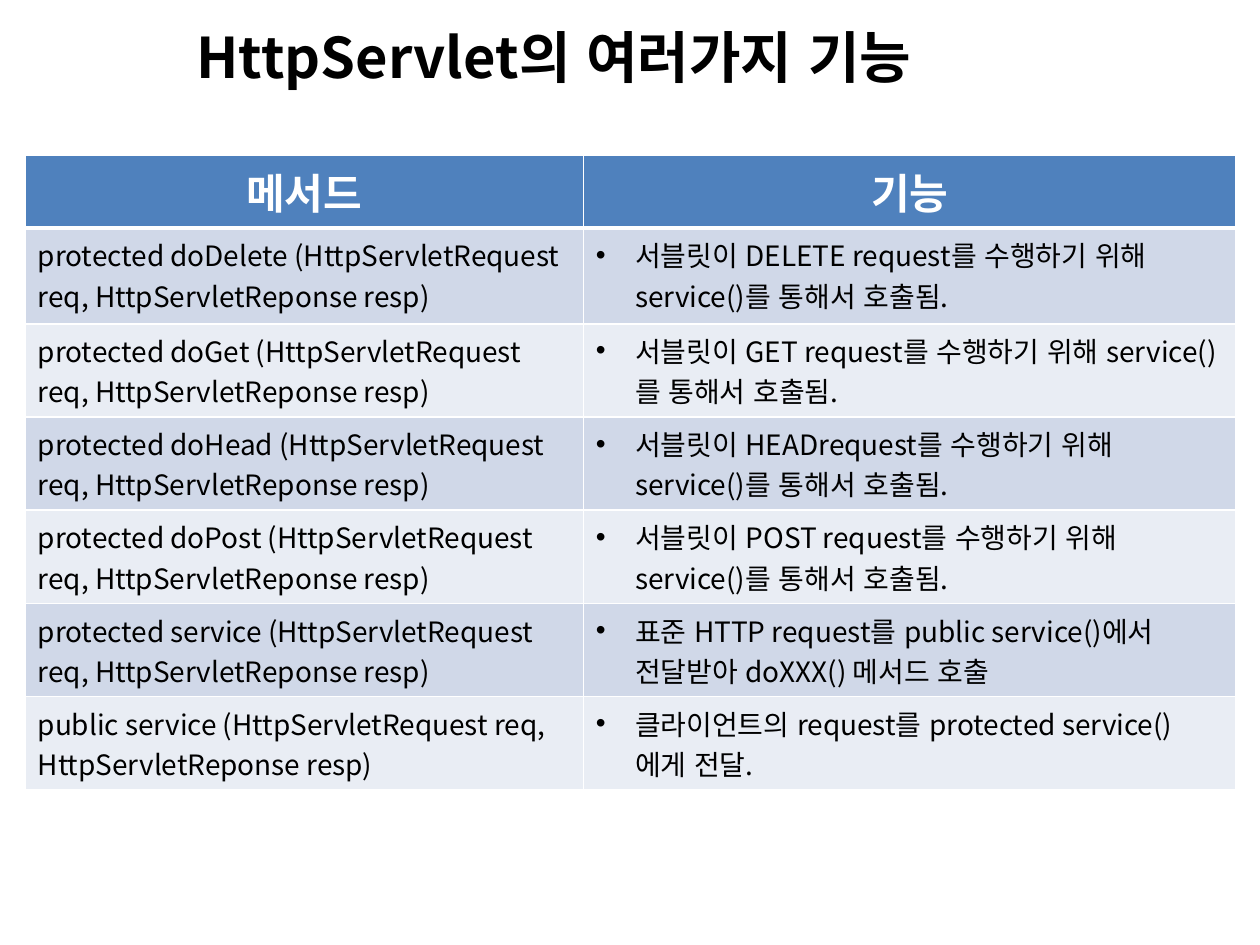
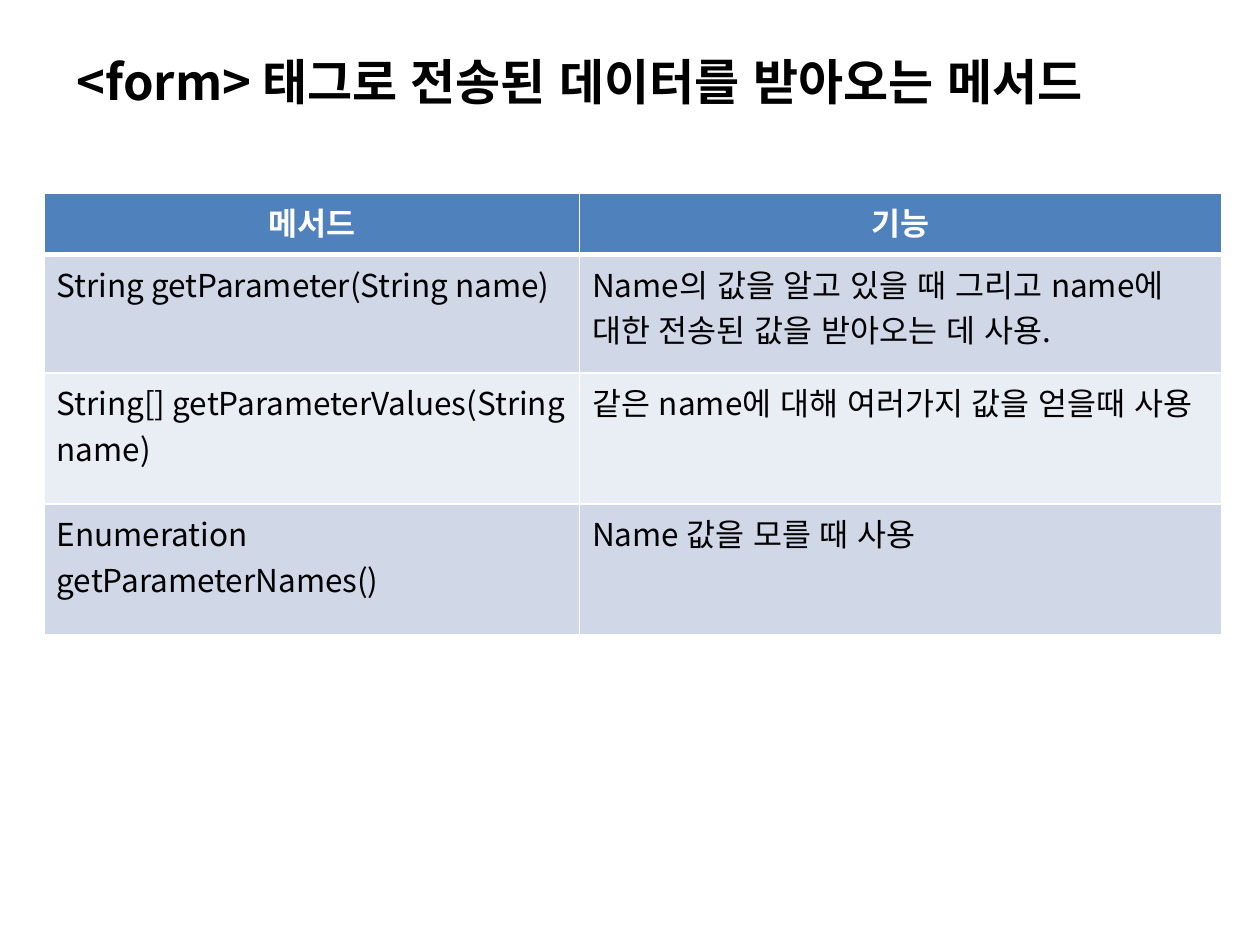
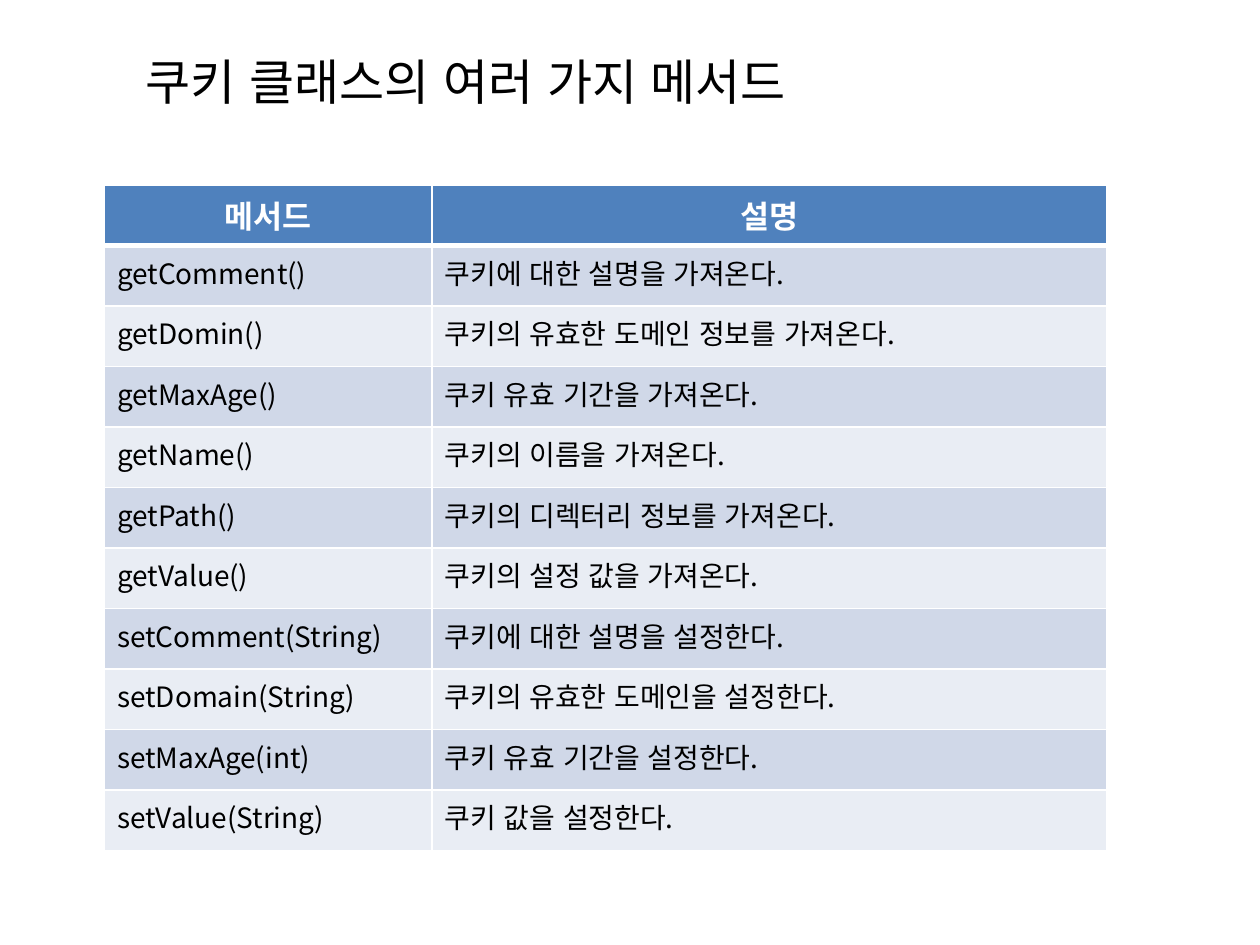
from dataclasses import dataclass

from lxml import etree
from pptx import Presentation
from pptx.dml.color import RGBColor
from pptx.enum.lang import MSO_LANGUAGE_ID
from pptx.enum.text import MSO_AUTO_SIZE, PP_ALIGN
from pptx.oxml.ns import qn
from pptx.util import Inches, Pt

BLACK = RGBColor(0x00, 0x00, 0x00)
WHITE = RGBColor(0xFF, 0xFF, 0xFF)
HEADER_BLUE = RGBColor(0x4F, 0x81, 0xBD)
BANDS = (RGBColor(0xD0, 0xD8, 0xE8), RGBColor(0xE9, 0xED, 0xF4))
FONT = "Noto Sans CJK KR"
LEFT, CENTER = PP_ALIGN.LEFT, PP_ALIGN.CENTER
FIT_SHAPE = MSO_AUTO_SIZE.SHAPE_TO_FIT_TEXT
KOREAN = MSO_LANGUAGE_ID.KOREAN
BULLET_INDENT = Inches(0.31)


@dataclass(frozen=True)
class Title:
    text: str
    left: float
    top: float
    width: float
    height: float
    size: int = 28
    bold: bool = True


@dataclass(frozen=True)
class MethodTable:
    left: float
    top: float
    columns: tuple[float, float]
    row_heights: list[float]
    rows: list[tuple[str, str]]
    header_size: int = 18
    body_size: int = 16
    bulleted: bool = False


def servlet_method(access: str, name: str) -> str:
    return f"{access} {name} (HttpServletRequest req, HttpServletReponse resp)"


def request_handler(method: str, request: str) -> tuple[str, str]:
    return (servlet_method("protected", method),
            f"서블릿이 {request}를 수행하기 위해 service()를 통해서 호출됨.")


SERVLET_ROWS = [
    ("메서드", "기능"),
    request_handler("doDelete", "DELETE request"),
    request_handler("doGet", "GET request"),
    request_handler("doHead", "HEADrequest"),
    request_handler("doPost", "POST request"),
    (servlet_method("protected", "service"),
     "표준 HTTP request를 public service()에서 전달받아 doXXX() 메서드 호출"),
    (servlet_method("public", "service"),
     "클라이언트의 request를 protected service()에게 전달."),
]
FORM_ROWS = [
    ("메서드", "기능"),
    ("String getParameter(String name)",
     "Name의 값을 알고 있을 때 그리고 name에 대한 전송된 값을 받아오는 데 사용."),
    ("String[] getParameterValues(String name)",
     "같은 name에 대해 여러가지 값을 얻을때 사용"),
    ("Enumeration getParameterNames()", "Name 값을 모를 때 사용"),
]
COOKIE_ROWS = [
    ("메서드", "설명"),
    ("getComment()", "쿠키에 대한 설명을 가져온다."),
    ("getDomin()", "쿠키의 유효한 도메인 정보를 가져온다."),
    ("getMaxAge()", "쿠키 유효 기간을 가져온다."),
    ("getName()", "쿠키의 이름을 가져온다."),
    ("getPath()", "쿠키의 디렉터리 정보를 가져온다."),
    ("getValue()", "쿠키의 설정 값을 가져온다."),
    ("setComment(String)", "쿠키에 대한 설명을 설정한다."),
    ("setDomain(String)", "쿠키의 유효한 도메인을 설정한다."),
    ("setMaxAge(int)", "쿠키 유효 기간을 설정한다."),
    ("setValue(String)", "쿠키 값을 설정한다."),
]

SLIDES = [
    (Title("HttpServlet의 여러가지 기능", 1.46, 0.13, 6.11, 0.64, size=32),
     MethodTable(0.2, 1.23, (4.43, 5.18), [0.58, 0.76] + [0.74] * 5,
                 SERVLET_ROWS, header_size=24, bulleted=True)),
    (Title("<form> 태그로 전송된 데이터를 받아오는 메서드", 0.51, 0.36, 9.04, 0.57),
     MethodTable(0.35, 1.53, (4.25, 5.1), [0.49, 0.94, 1.04, 1.04],
                 FORM_ROWS, body_size=18)),
    (Title("쿠키 클래스의 여러 가지 메서드", 1.06, 0.36, 5.86, 0.57, bold=False),
     MethodTable(0.83, 1.47, (2.6, 5.35), [0.48] * len(COOKIE_ROWS), COOKIE_ROWS)),
]


def write_text(text_frame, text: str, *, size: int, color: RGBColor = BLACK,
               bold: bool = False, align: PP_ALIGN = LEFT,
               bulleted: bool = False) -> None:
    paragraph = text_frame.paragraphs[0]
    paragraph.alignment = align
    if bulleted:
        properties = paragraph._p.get_or_add_pPr()
        properties.set("marL", str(BULLET_INDENT))
        properties.set("indent", str(-BULLET_INDENT))
        etree.SubElement(properties, qn("a:buFont"), typeface="Arial")
        etree.SubElement(properties, qn("a:buChar"), char="•")
    run = paragraph.add_run()
    run.text = text
    font = run.font
    font.name, font.size, font.bold = FONT, Pt(size), bold
    font.color.rgb = color
    font.language_id = KOREAN
    etree.SubElement(run._r.get_or_add_rPr(), qn("a:ea"), typeface=FONT)


def add_borders(cell, **widths: int) -> None:
    """Draw white borders; widths in points are keyed L, R, T and B in that order."""
    properties = cell._tc.get_or_add_tcPr()
    for side, width in widths.items():
        line = etree.SubElement(properties, qn(f"a:ln{side}"), w=str(Pt(width)))
        fill = etree.SubElement(line, qn("a:solidFill"))
        etree.SubElement(fill, qn("a:srgbClr"), val=str(WHITE))


def add_title(slide, title: Title) -> None:
    box = slide.shapes.add_textbox(Inches(title.left), Inches(title.top),
                                   Inches(title.width), Inches(title.height))
    box.text_frame.word_wrap = False
    box.text_frame.auto_size = FIT_SHAPE
    write_text(box.text_frame, title.text, size=title.size, bold=title.bold)


def add_method_table(slide, spec_table: MethodTable) -> None:
    table = slide.shapes.add_table(
        len(spec_table.rows), len(spec_table.columns),
        Inches(spec_table.left), Inches(spec_table.top),
        Inches(sum(spec_table.columns)), Inches(sum(spec_table.row_heights))).table
    for column, width in zip(table.columns, spec_table.columns):
        column.width = Inches(width)
    for row_index, texts in enumerate(spec_table.rows):
        table.rows[row_index].height = Inches(spec_table.row_heights[row_index])
        is_header = row_index == 0
        for column_index, text in enumerate(texts):
            cell = table.cell(row_index, column_index)
            add_borders(cell, L=1, R=1, T=3 if row_index == 1 else 1,
                        B=3 if is_header else 1)
            cell.fill.solid()
            if is_header:
                cell.fill.fore_color.rgb = HEADER_BLUE
                write_text(cell.text_frame, text, size=spec_table.header_size,
                           color=WHITE, bold=True, align=CENTER)
            else:
                cell.fill.fore_color.rgb = BANDS[(row_index - 1) % len(BANDS)]
                write_text(cell.text_frame, text, size=spec_table.body_size,
                           bulleted=spec_table.bulleted and column_index == 1)


def main() -> None:
    presentation = Presentation()
    presentation.slide_width, presentation.slide_height = Inches(10), Inches(7.5)
    blank_layout = presentation.slide_layouts[6]
    for title, method_table in SLIDES:
        slide = presentation.slides.add_slide(blank_layout)
        add_title(slide, title)
        add_method_table(slide, method_table)
    presentation.save("out.pptx")


if __name__ == "__main__":
    main()
